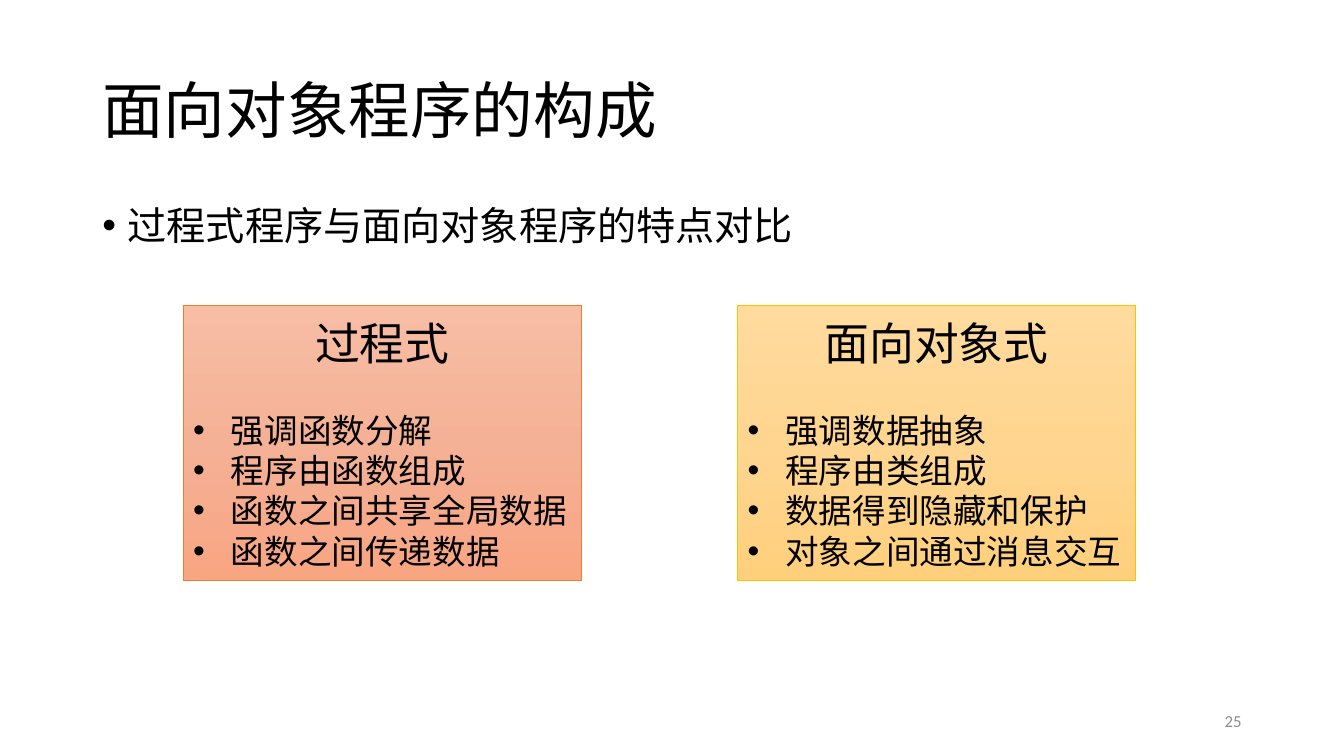
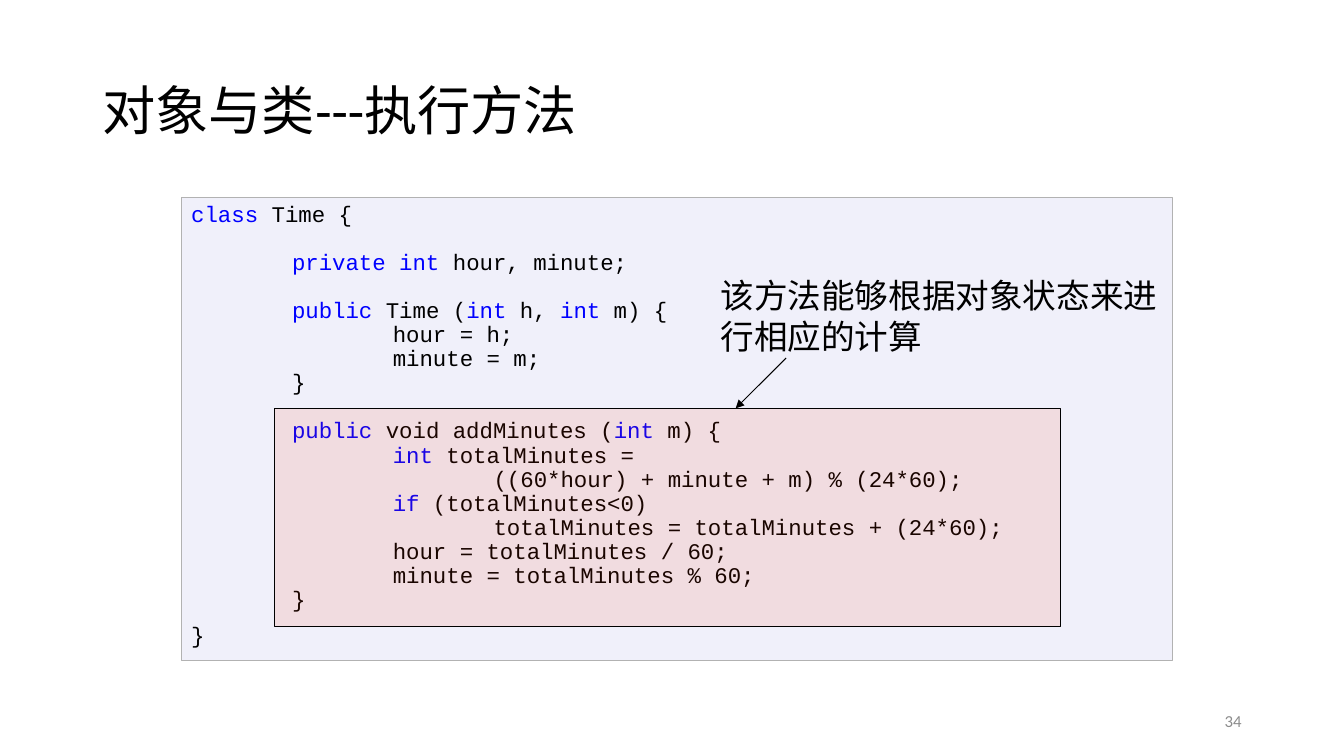
from lxml.etree import SubElement
from pptx import Presentation
from pptx.dml.color import RGBColor
from pptx.enum.shapes import MSO_CONNECTOR, MSO_SHAPE
from pptx.enum.text import MSO_ANCHOR, PP_ALIGN
from pptx.oxml.ns import qn
from pptx.util import Cm, Pt

COLORS = {
    "text": "000000",
    "keyword": "0000FF",
    "number": "8C8C8C",
    "code_fill": "F0F0FA",
    "code_line": "B2B2B2",
    "highlight": "FF3300",
    "orange_line": "ED7D31",
    "gold_line": "FFC000",
}
ORANGE_STOPS = ["F7BDA5", "F5B196", "F8A582"]
GOLD_STOPS = ["FFDB9E", "FFD590", "FFD07C"]
BODY_FONT = "Calibri"
CODE_FONT = "Courier New"
MARGIN, CONTENT_W = 2.33, 29.21
CODE_PITCH = 17.2
TAB = 2.54

CARDS = [
    ("过程式", ["强调函数分解", "程序由函数组成", "函数之间共享全局数据", "函数之间传递数据"],
     ORANGE_STOPS, "orange_line"),
    ("面向对象式", ["强调数据抽象", "程序由类组成", "数据得到隐藏和保护", "对象之间通过消息交互"],
     GOLD_STOPS, "gold_line"),
]

# Each entry: indent depth, blank lines above, text with `keywords`
CODE = [
    (0, 0, "`class` Time {"),
    (1, 1, "`private int` hour, minute;"),
    (1, 1, "`public` Time (`int` h, `int` m) {"),
    (2, 0, "hour = h;"),
    (2, 0, "minute = m;"),
    (1, 0, "}"),
    (1, 1, "`public` void addMinutes (`int` m) {"),
    (2, 0, "`int` totalMinutes ="),
    (3, 0, "((60*hour) + minute + m) % (24*60);"),
    (2, 0, "`if` (totalMinutes<0)"),
    (3, 0, "totalMinutes = totalMinutes + (24*60);"),
    (2, 0, "hour = totalMinutes / 60;"),
    (2, 0, "minute = totalMinutes % 60;"),
    (1, 0, "}"),
    (0, 0.5, "}"),
]


def rgb(name):
    return RGBColor.from_string(COLORS[name])


def add_run(p, text, size, color="text", font=BODY_FONT):
    r = p.add_run()
    r.text = text
    r.font.size = Pt(size)
    r.font.name = font
    r.font.color.rgb = rgb(color)


def next_paragraph(tf):
    first = tf.paragraphs[0]
    return tf.add_paragraph() if first.runs else first


def set_indent(p, left, bullet=False):
    pPr = p._p.get_or_add_pPr()
    pPr.set("marL", str(Cm(left)))
    if bullet:
        pPr.set("indent", str(-Cm(left)))
        SubElement(pPr, qn("a:buFont"), typeface="Arial")
        SubElement(pPr, qn("a:buChar"), char="•")


def add_text(s, text, x, y, w, h, size, color="text", anchor=MSO_ANCHOR.TOP,
             align=PP_ALIGN.LEFT, spacing=1.0):
    tf = s.shapes.add_textbox(Cm(x), Cm(y), Cm(w), Cm(h)).text_frame
    tf.word_wrap = True
    tf.vertical_anchor = anchor
    p = tf.paragraphs[0]
    p.alignment = align
    p.line_spacing = spacing
    add_run(p, text, size, color)
    return p


def add_box(s, x, y, w, h, line, width):
    sp = s.shapes.add_shape(MSO_SHAPE.RECTANGLE, Cm(x), Cm(y), Cm(w), Cm(h))
    sp.shadow.inherit = False
    sp.line.color.rgb = rgb(line)
    sp.line.width = Pt(width)
    return sp


def fill_solid(sp, color, opacity=None):
    sp.fill.solid()
    sp.fill.fore_color.rgb = rgb(color)
    if opacity is not None:
        clr = sp._element.spPr.find(qn("a:solidFill"))[0]
        SubElement(clr, qn("a:alpha"), val=str(opacity * 1000))


def fill_gradient(sp, stops):
    sp.fill.gradient()
    sp.fill.gradient_angle = 270
    gs_list = sp._element.spPr.find(qn("a:gradFill")).find(qn("a:gsLst"))
    for gs in list(gs_list):
        gs_list.remove(gs)
    for i, color in enumerate(stops):
        pos = 100000 * i // (len(stops) - 1)
        gs = SubElement(gs_list, qn("a:gs"), pos=str(pos))
        SubElement(gs, qn("a:srgbClr"), val=color)


def add_card(s, x, heading, items, stops, line):
    sp = add_box(s, x, 7.7, 10.03, 6.93, line, 0.5)
    fill_gradient(sp, stops)
    tf = sp.text_frame
    tf.vertical_anchor = MSO_ANCHOR.MIDDLE
    p = tf.paragraphs[0]
    p.alignment = PP_ALIGN.CENTER
    p.space_after = Pt(29)
    add_run(p, heading, 32)
    for item in items:
        p = tf.add_paragraph()
        p.alignment = PP_ALIGN.LEFT
        set_indent(p, 0.95, bullet=True)
        add_run(p, item, 24)


def add_code(s, x, y, w, h):
    sp = add_box(s, x, y, w, h, "code_line", 0.75)
    fill_solid(sp, "code_fill")
    tf = sp.text_frame
    tf.vertical_anchor = MSO_ANCHOR.TOP
    for depth, gap, text in CODE:
        p = next_paragraph(tf)
        p.alignment = PP_ALIGN.LEFT
        p.line_spacing = Pt(CODE_PITCH)
        p.space_before = Pt(gap * CODE_PITCH)
        set_indent(p, depth * TAB)
        for i, part in enumerate(text.split("`")):
            if part:
                add_run(p, part, 16, "keyword" if i % 2 else "text", CODE_FONT)


def add_arrow(s, x1, y1, x2, y2):
    cxn = s.shapes.add_connector(MSO_CONNECTOR.STRAIGHT, Cm(x1), Cm(y1), Cm(x2), Cm(y2))
    cxn.line.color.rgb = rgb("text")
    cxn.line.width = Pt(0.75)
    SubElement(cxn.line._get_or_add_ln(), qn("a:tailEnd"), type="triangle")
    SubElement(cxn._element.spPr, qn("a:effectLst"))


def add_slide(prs, title, title_size, number):
    s = prs.slides.add_slide(prs.slide_layouts[6])
    add_text(s, title, MARGIN, 1.01, CONTENT_W, 3.68, title_size,
             anchor=MSO_ANCHOR.MIDDLE, spacing=0.9)
    add_text(s, number, 23.92, 17.65, 7.62, 1.01, 12, "number",
             MSO_ANCHOR.MIDDLE, PP_ALIGN.RIGHT)
    return s


def build_comparison(prs):
    s = add_slide(prs, "面向对象程序的构成", 44, "25")
    p = add_text(s, "过程式程序与面向对象程序的特点对比", MARGIN, 5.08, CONTENT_W, 1.32, 28,
                 spacing=0.9)
    set_indent(p, 0.64, bullet=True)
    for i, card in enumerate(CARDS):
        add_card(s, 4.62 + i * 13.97, *card)


def build_method(prs):
    s = add_slide(prs, "对象与类---执行方法", 38, "34")
    add_code(s, 4.57, 4.98, 24.97, 11.66)
    fill_solid(add_box(s, 6.91, 10.29, 19.81, 5.51, "text", 0.75), "highlight", 10)
    add_text(s, "该方法能够根据对象状态来进行相应的计算", 17.91, 6.81, 11.63, 2.31, 24)
    add_arrow(s, 19.81, 9.02, 18.54, 10.29)


def main():
    prs = Presentation()
    prs.slide_width, prs.slide_height = Cm(33.87), Cm(19.05)
    build_comparison(prs)
    build_method(prs)
    prs.save("out.pptx")


if __name__ == "__main__":
    main()
